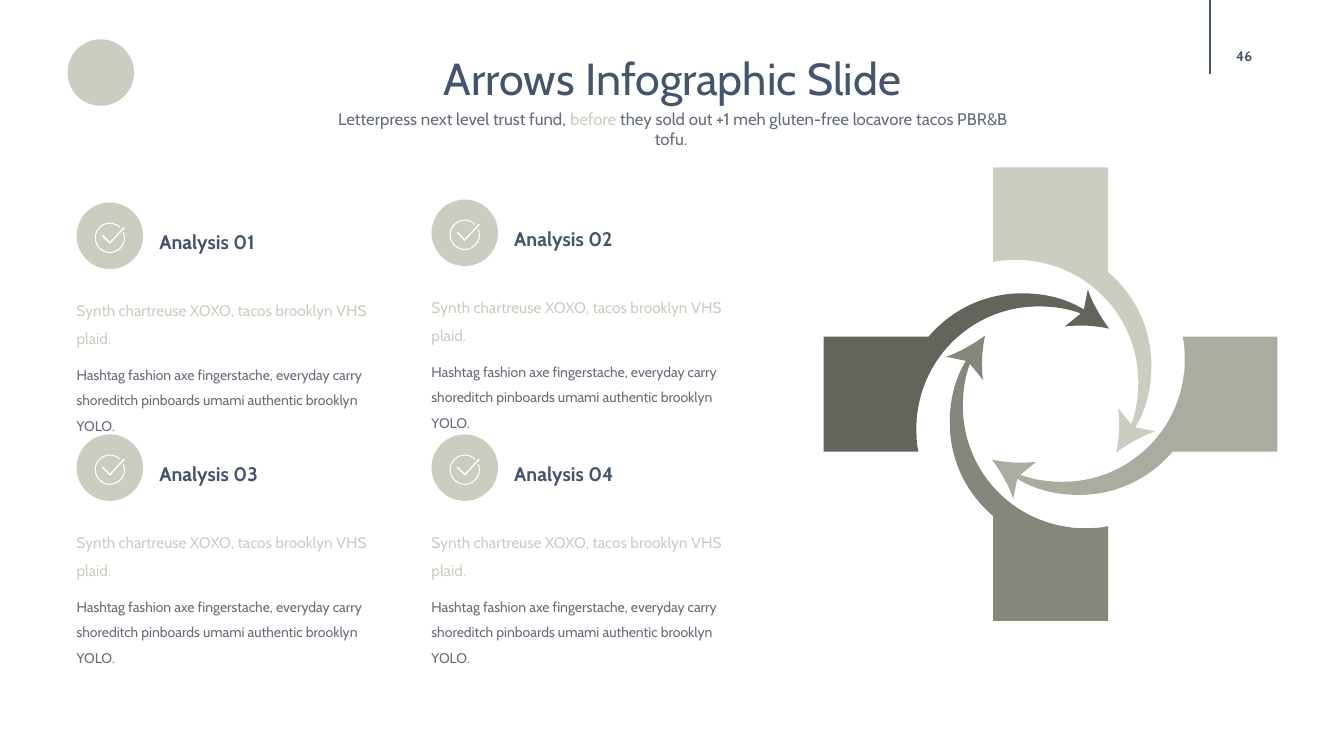
from math import cos, radians, sin, tan

from lxml.etree import SubElement
from pptx import Presentation
from pptx.dml.color import RGBColor
from pptx.enum.shapes import MSO_CONNECTOR, MSO_SHAPE
from pptx.enum.text import MSO_ANCHOR, MSO_AUTO_SIZE, PP_ALIGN
from pptx.oxml.ns import qn
from pptx.util import Inches, Pt

COLORS = {
    "navy": "44546A", "slate": "656D78", "white": "FFFFFF",
    "sand": "CBCDC0", "sage": "AAAC9F", "moss": "85877C", "dark": "63645C",
}
FONT = "Cabin"
LEAD = "Synth chartreuse XOXO, tacos brooklyn VHS plaid."
DETAIL = ("Hashtag fashion axe fingerstache, everyday carry shoreditch "
          "pinboards umami authentic brooklyn YOLO.")
CARDS = [("Analysis 01", 0.76, 2.01), ("Analysis 02", 4.28, 1.98),
         ("Analysis 03", 0.76, 4.31), ("Analysis 04", 4.28, 4.31)]
ARROW = [
    [(-0.34, -1.33)],
    [(-0.28, -1.33), (-0.23, -1.33), (-0.18, -1.32)],
    [(0.42, -1.24), (0.87, -0.73), (0.87, -0.12)],
    [(0.87, 0.03), (0.85, 0.17), (0.8, 0.3)],
    [(0.67, 0.14)],
    [(0.69, 0.27), (0.68, 0.45), (0.65, 0.58)],
    [(0.76, 0.5), (0.91, 0.41), (1.04, 0.37)],
    [(0.84, 0.33)],
    [(0.95, 0.15), (1, -0.06), (1, -0.28)],
    [(1, -0.65), (0.84, -0.98), (0.57, -1.21)],
    [(0.57, -2.25)], [(-0.57, -2.25)], [(-0.57, -1.31)],
    [(-0.49, -1.33), (-0.42, -1.33), (-0.34, -1.33)],
]
CHECK = [[(-0.08, -0.02)], [(0, 0.06)], [(0.15, -0.1)],
         [(0.14, -0.11)], [(0, 0.04)], [(-0.07, -0.03)]]
RING_ANGLES = [-23, 0, 90, 180, 270, 315]


def rgb(name):
    """Return the named colour."""
    return RGBColor.from_string(COLORS[name])


def paint(shape, color):
    """Give a shape a flat fill without line or shadow."""
    shape.shadow.inherit = False
    shape.fill.solid()
    shape.fill.fore_color.rgb = rgb(color)
    shape.line.fill.background()


def add_text(shapes, box, paragraphs, align=PP_ALIGN.LEFT, anchor=MSO_ANCHOR.TOP,
             inset=True, grow=False, bold=False, spacing=None, before=0):
    """Add a text box from paragraphs of (text, size, colour) spans."""
    frame = shapes.add_textbox(*map(Inches, box)).text_frame
    frame.word_wrap = True
    frame.vertical_anchor = anchor
    frame.auto_size = MSO_AUTO_SIZE.SHAPE_TO_FIT_TEXT if grow else MSO_AUTO_SIZE.NONE
    if not inset:
        frame.margin_left = frame.margin_right = 0
        frame.margin_top = frame.margin_bottom = 0
    for index, spans in enumerate(paragraphs):
        para = frame.add_paragraph() if index else frame.paragraphs[0]
        para.alignment = align
        para.line_spacing = spacing
        para.space_before = Pt(before if index else 0)
        for text, size, color in spans:
            span = para.add_run()
            span.text = text
            span.font.name = FONT
            span.font.size = Pt(size)
            span.font.bold = bold
            span.font.color.rgb = rgb(color)


def add_outline(shapes, center, contours, color):
    """Draw closed contours of lines and cubic curves, as offsets from a centre."""
    x, y = center
    builder = None
    for contour in contours:
        start, *points = [(Inches(x + dx), Inches(y + dy))
                          for segment in contour for dx, dy in segment]
        if builder is None:
            builder = shapes.build_freeform(*start, scale=1.0)
        else:
            builder.move_to(*start)
        builder.add_line_segments(points, close=True)
    shape = builder.convert_to_shape()
    lines = iter(list(shape._element.iter(qn("a:lnTo"))))
    for contour in contours:
        for segment in contour[1:]:
            first, *others = [next(lines) for point in segment]
            if others:
                first.tag = qn("a:cubicBezTo")
            for line in others:
                first.append(line[0])
                line.getparent().remove(line)
    paint(shape, color)


def arc(radius, angles):
    """Return cubic curves along a circle through the angles, in degrees."""
    curves = []
    for start, end in zip(map(radians, angles), map(radians, angles[1:])):
        pull = 4 / 3 * tan((end - start) / 4)
        curves.append([
            (radius * (cos(start) - pull * sin(start)), radius * (sin(start) + pull * cos(start))),
            (radius * (cos(end) + pull * sin(end)), radius * (sin(end) - pull * cos(end))),
            (radius * cos(end), radius * sin(end))])
    return curves


def add_header(page):
    """Place the emblem, title, subtitle and page number."""
    emblem = page.shapes.add_shape(
        MSO_SHAPE.OVAL, Inches(0.67), Inches(0.39), Inches(0.66), Inches(0.66))
    paint(emblem, "sand")
    rule = page.shapes.add_connector(
        MSO_CONNECTOR.STRAIGHT, Inches(12), 0, Inches(12), Inches(0.73))
    rule.line.color.rgb = rgb("navy")
    rule.line.width = Pt(1)
    SubElement(rule._element.spPr, qn("a:effectLst"))
    add_text(page.shapes, (11.94, 0.36, 0.8, 0.4), [[("46", 10, "navy")]],
             align=PP_ALIGN.CENTER, anchor=MSO_ANCHOR.MIDDLE, inset=False, bold=True)
    add_text(page.shapes, (2.54, 0.45, 8.26, 0.64),
             [[("Arrows Infographic Slide", 32, "navy")]],
             align=PP_ALIGN.CENTER, grow=True)
    add_text(page.shapes, (3.2, 1.03, 6.95, 0.3),
             [[("Letterpress next level trust fund, ", 12, "slate"),
               ("before", 12, "sand"),
               (" they sold out +1 meh gluten-free locavore tacos PBR&B tofu. ", 12, "slate")]],
             align=PP_ALIGN.CENTER, grow=True)


def add_card(page, heading, left, top):
    """Place one analysis card with its check icon."""
    shapes = page.shapes.add_group_shape().shapes
    disc = shapes.add_shape(MSO_SHAPE.ROUNDED_RECTANGLE, Inches(left), Inches(top),
                            Inches(0.66), Inches(0.66))
    disc.adjustments[0] = 0.5
    paint(disc, "sand")
    add_text(shapes, (left + 0.82, top + 0.21, 1.93, 0.28), [[(heading, 14, "navy")]],
             anchor=MSO_ANCHOR.MIDDLE, inset=False, grow=True, bold=True, spacing=1.3)
    add_text(shapes, (left, top + 0.89, 3.1, 0.87),
             [[(LEAD, 11, "sand")], [(DETAIL, 10, "slate")]],
             inset=False, spacing=1.5, before=7.5)
    outer, inner = arc(0.15, RING_ANGLES), arc(0.14, RING_ANGLES[::-1])
    ends = [[(radius * cos(radians(angle)), radius * sin(radians(angle)))]
            for radius, angle in ((0.15, RING_ANGLES[0]), (0.14, RING_ANGLES[-1]))]
    ring = [ends[0], *outer, ends[1], *inner]
    add_outline(shapes, (left + 0.33, top + 0.35), [ring, CHECK], "white")


def add_arrow_cycle(page, center):
    """Place four curved arrows, each a quarter turn after the last."""
    shapes = page.shapes.add_group_shape().shapes
    arrow = ARROW
    for color in ("sand", "sage", "moss", "dark"):
        add_outline(shapes, center, [arrow], color)
        arrow = [[(-y, x) for x, y in segment] for segment in arrow]


def main():
    """Build and save the deck."""
    deck = Presentation()
    deck.slide_width, deck.slide_height = Inches(13.33), Inches(7.5)
    page = deck.slides.add_slide(deck.slide_layouts[6])
    add_header(page)
    add_arrow_cycle(page, (10.42, 3.91))
    for card in CARDS:
        add_card(page, *card)
    deck.save("out.pptx")


if __name__ == "__main__":
    main()
